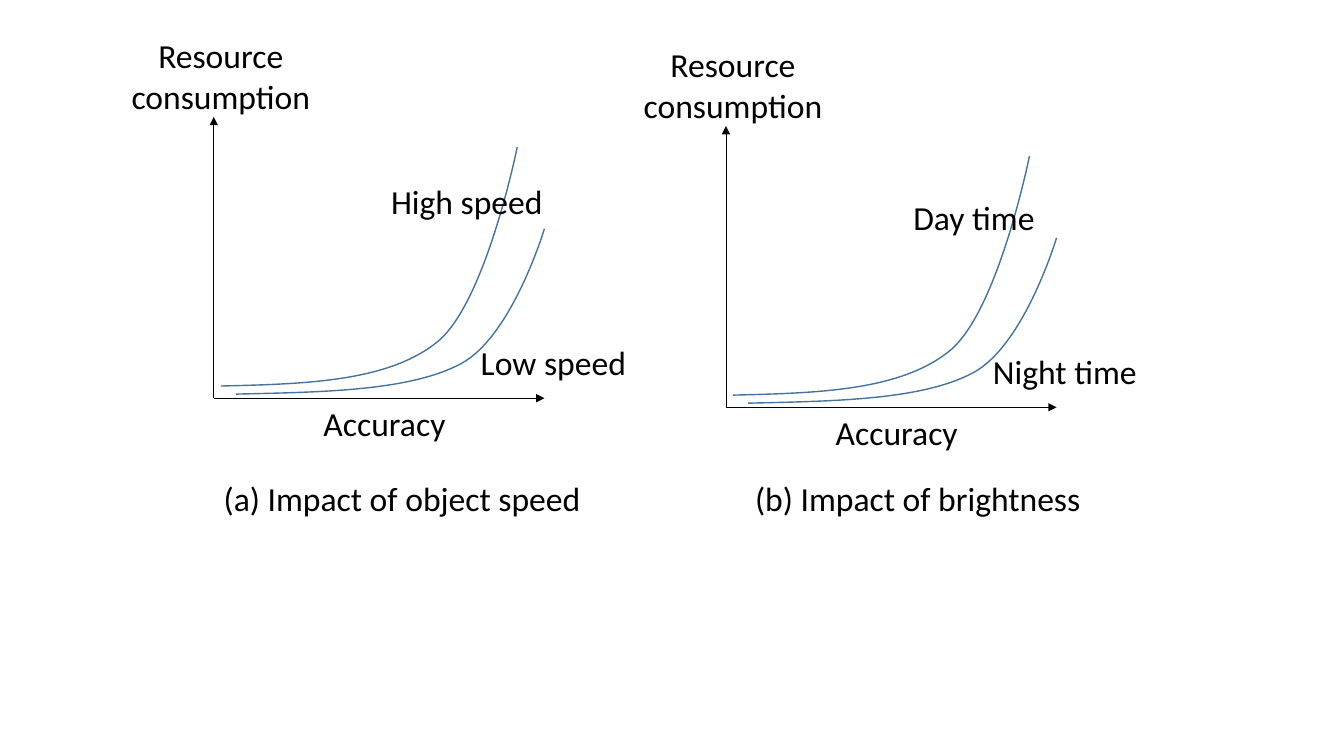
from lxml import etree
from pptx import Presentation
from pptx.dml.color import RGBColor
from pptx.enum.shapes import MSO_CONNECTOR
from pptx.enum.text import MSO_AUTO_SIZE, PP_ALIGN
from pptx.oxml.ns import qn
from pptx.util import Inches, Pt

STRAIGHT = MSO_CONNECTOR.STRAIGHT
LEFT, CENTER = PP_ALIGN.LEFT, PP_ALIGN.CENTER
GROW = MSO_AUTO_SIZE.SHAPE_TO_FIT_TEXT

COLORS = {"ink": "000000", "curve": "43739E"}
FONT = "Calibri"

# Bezier points of the curves, in inches from the origin of the axes
LOWER_CURVE = [(0.22, -0.04), (1.08, -0.06), (1.94, -0.07), (2.45, -0.34),
               (2.96, -0.61), (3.28, -1.68), (3.28, -1.68)]
UPPER_CURVE = [(0.07, -0.12), (0.9, -0.14), (1.73, -0.16), (2.22, -0.56),
               (2.7, -0.95), (3.01, -2.49), (3.01, -2.49)]


def set_line(shape, color, width):
    shape.line.color.rgb = RGBColor.from_string(COLORS[color])
    shape.line.width = Pt(width)


def add_text(s, text, x, y, w, h=0.5, size=24, color="ink", align=LEFT, wrap=False):
    tf = s.shapes.add_textbox(Inches(x), Inches(y), Inches(w), Inches(h)).text_frame
    tf.word_wrap = wrap
    tf.auto_size = GROW
    p = tf.paragraphs[0]
    p.alignment = align
    r = p.add_run()
    r.text = text
    r.font.name = FONT
    r.font.size = Pt(size)
    r.font.color.rgb = RGBColor.from_string(COLORS[color])


def add_axis(s, x1, y1, x2, y2):
    axis = s.shapes.add_connector(STRAIGHT, Inches(x1), Inches(y1), Inches(x2), Inches(y2))
    set_line(axis, "ink", 0.5)
    etree.SubElement(axis.line._get_or_add_ln(), qn("a:tailEnd"), type="triangle")
    etree.SubElement(axis.element.spPr, qn("a:effectLst"))


def add_curve(s, x, y, offsets):
    points = [(Inches(x + dx), Inches(y + dy)) for dx, dy in offsets]
    builder = s.shapes.build_freeform(*points[0])
    builder.add_line_segments(points[1:], close=False)
    sp = builder.convert_to_shape()
    sp.shadow.inherit = False
    sp.fill.background()
    set_line(sp, "curve", 1)
    # Every three points after the start form one Bezier segment
    segments = list(sp.element.iter(qn("a:lnTo")))
    for i in range(0, len(segments), 3):
        first, *others = segments[i:i + 3]
        first.tag = qn("a:cubicBezTo")
        for segment in others:
            first.append(segment[0])
            segment.getparent().remove(segment)


def add_graph(s, x, y):
    add_axis(s, x, y, x, y - 2.79)
    add_axis(s, x, y, x + 3.28, y)
    add_text(s, "Accuracy", x + 0.99, y, 1.42)
    add_text(s, "Resource consumption", x - 0.93, y - 3.65, 2, 0.91,
             align=CENTER, wrap=True)
    add_curve(s, x, y, LOWER_CURVE)
    add_curve(s, x, y, UPPER_CURVE)


def main():
    prs = Presentation()
    prs.slide_width, prs.slide_height = Inches(13.33), Inches(7.5)
    s = prs.slides.add_slide(prs.slide_layouts[6])

    # Object speed
    add_graph(s, 2.12, 3.95)
    add_text(s, "High speed", 3.78, 1.75, 1.72)
    add_text(s, "Low speed", 4.67, 3.34, 1.66)

    # Brightness
    add_graph(s, 7.2, 4.04)
    add_text(s, "Day time", 8.96, 1.9, 1.42)
    add_text(s, "Night time", 9.75, 3.43, 1.64)

    # Captions
    add_text(s, "(a) Impact of object speed", 2.12, 4.69, 3.77)
    add_text(s, "(b) Impact of brightness", 7.39, 4.69, 3.46)

    prs.save("out.pptx")


if __name__ == "__main__":
    main()
